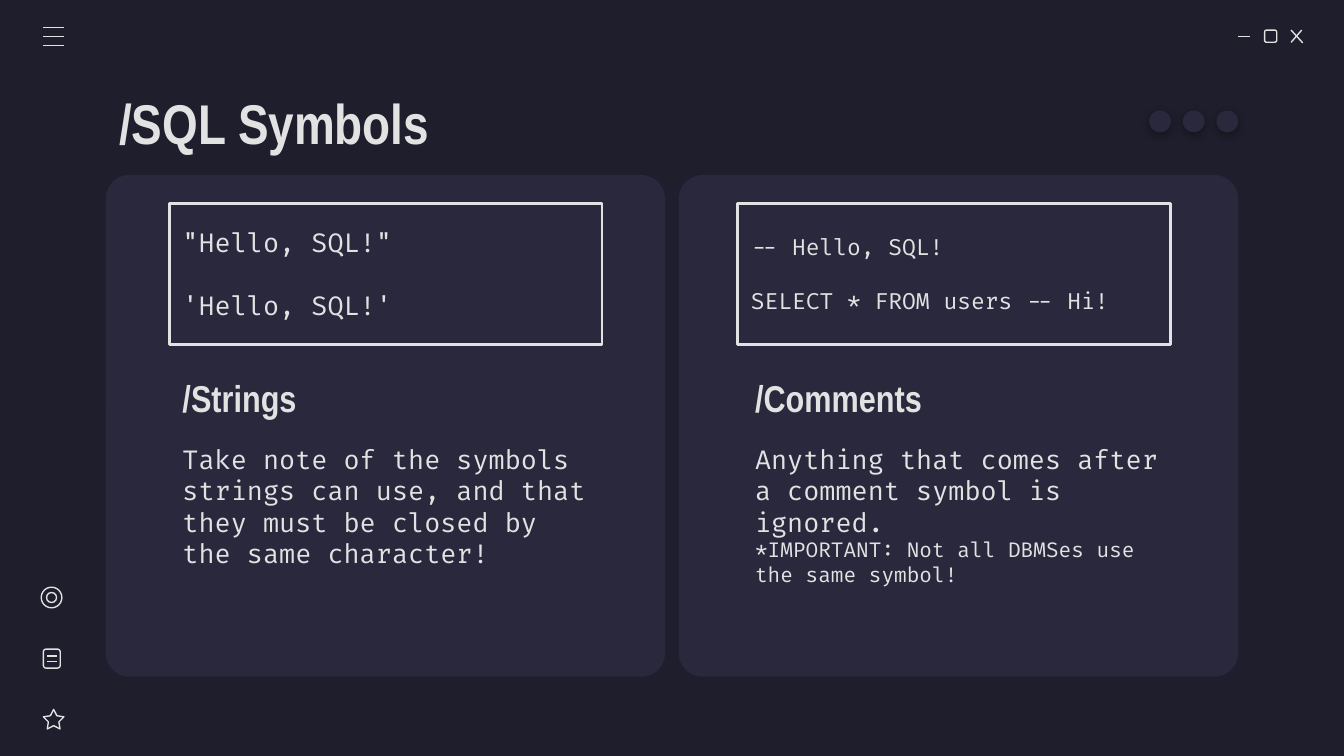
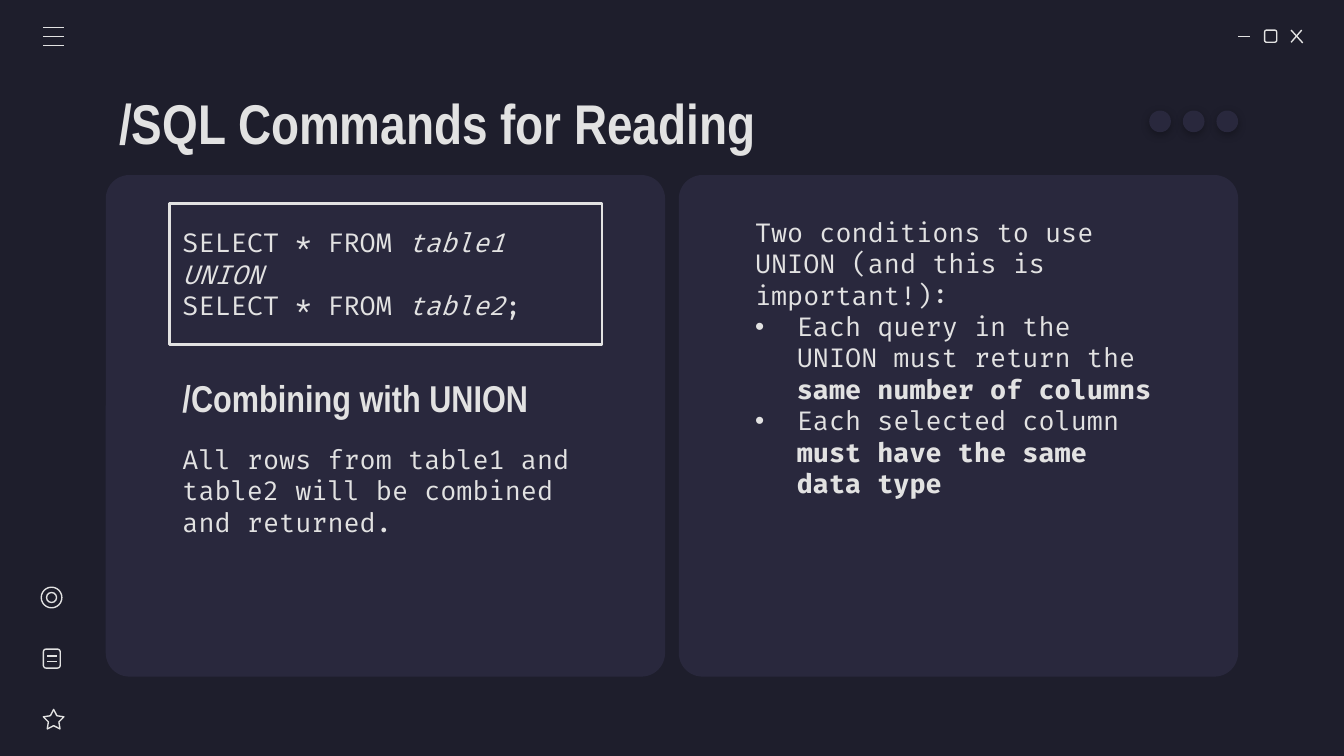
from collections import namedtuple

from lxml import etree
from pptx import Presentation, util as u
from pptx.dml.color import RGBColor
from pptx.enum import shapes as sh, text as tx
from pptx.oxml import ns

# Shared look
BACK, CARD, LIGHT = "1E1E2C", "29283D", "E2E2E2"
HEAD, CODE = "Arial Narrow", "Fira Code"
KIND = sh.MSO_SHAPE
MID, TOP = tx.MSO_ANCHOR.MIDDLE, tx.MSO_ANCHOR.TOP
LEFT, RIGHT, WIDE = 3.2, 14.02, 8.18  # text columns

# A paragraph: runs of (text, style), where style holds "b" and/or "i"
Para = namedtuple("Para", "runs size gap dot", defaults=(14, 0, False))


def rgb(code):
    return RGBColor.from_string(code)


def plain(words, size=14, gap=0):
    return Para([(words, "")], size, gap)


def sub(node, tag, **attrs):
    return etree.SubElement(node, ns.qn(tag), attrs)


# Basic elements
def shape(slide, kind, x, y, w, h, fill=None, line=None, width=0.75):
    item = slide.shapes.add_shape(kind, u.Cm(x), u.Cm(y), u.Cm(w), u.Cm(h))
    item.shadow.inherit = False
    if fill:
        item.fill.solid()
        item.fill.fore_color.rgb = rgb(fill)
    else:
        item.fill.background()
    if line:
        item.line.color.rgb = rgb(line)
        item.line.width = u.Pt(width)
    else:
        item.line.fill.background()
    return item


def stroke(slide, x1, y1, x2, y2):
    line = slide.shapes.add_connector(
        sh.MSO_CONNECTOR.STRAIGHT, u.Cm(x1), u.Cm(y1), u.Cm(x2), u.Cm(y2))
    line.line.color.rgb = rgb(LIGHT)
    line.line.width = u.Pt(0.75)
    sub(line._element.spPr, "a:effectLst")


def bullet(para):
    props = para._p.get_or_add_pPr()
    props.set("marL", str(u.Cm(0.79)))
    props.set("indent", str(-u.Cm(0.79)))
    sub(sub(props, "a:buClr"), "a:srgbClr", val=LIGHT)
    sub(props, "a:buFont", typeface="Arial")
    sub(props, "a:buChar", char="•")


def write(frame, paras, font, anchor):
    frame.word_wrap = True
    frame.vertical_anchor = anchor
    for n, item in enumerate(paras):
        para = frame.add_paragraph() if n else frame.paragraphs[0]
        para.alignment = tx.PP_ALIGN.LEFT
        if item.gap:
            para.space_before = u.Pt(item.gap)
        if item.dot:
            bullet(para)
        for words, style in item.runs:
            run = para.add_run()
            run.text = words
            run.font.name = font
            run.font.size = u.Pt(item.size)
            run.font.color.rgb = rgb(LIGHT)
            run.font.bold = "b" in style
            run.font.italic = "i" in style


def label(slide, x, y, w, h, paras, font=CODE, anchor=TOP):
    frame = slide.shapes.add_textbox(
        u.Cm(x), u.Cm(y), u.Cm(w), u.Cm(h)).text_frame
    frame.margin_left = frame.margin_right = u.Cm(0.25)
    frame.margin_top = frame.margin_bottom = u.Cm(0.25)
    write(frame, paras, font, anchor)


# Parts of a slide
def title(slide, words):
    label(slide, 2, 1.5, 21.4, 1.6, [Para([(words, "b")], 30)], HEAD, MID)


def topic(slide, x, words, paras):
    label(slide, x, 6.86, WIDE, 1.3, [Para([(words, "b")], 20)], HEAD, MID)
    label(slide, x, 8.13, WIDE, 3.56, paras)


def code(slide, x, paras):
    box = shape(slide, KIND.RECTANGLE, x, 3.84, WIDE, 2.67, None, LIGHT, 1.5)
    write(box.text_frame, paras, CODE, MID)


def dot(slide, x):
    item = shape(slide, KIND.OVAL, x, 2.09, 0.41, 0.41, CARD)
    effects = item._element.spPr.find(ns.qn("a:effectLst"))
    shade = sub(effects, "a:outerShdw", blurRad=str(u.Pt(4.5)),
                dist=str(u.Pt(1.5)), dir="5400000", algn="bl", rotWithShape="0")
    sub(sub(shade, "a:srgbClr", val="000000"), "a:alpha", val="30000")


def window(slide):
    # Minimise, maximise, close
    stroke(slide, 23.4, 0.69, 23.62, 0.69)
    shape(slide, KIND.ROUNDED_RECTANGLE, 23.9, 0.57, 0.23, 0.23, None, LIGHT)
    stroke(slide, 24.4, 0.57, 24.62, 0.81)
    stroke(slide, 24.6, 0.57, 24.4, 0.8)
    # Menu
    for y in (0.52, 0.69, 0.86):
        stroke(slide, 0.82, y, 1.21, y)


def icons(slide):
    # Rings
    shape(slide, KIND.OVAL, 0.78, 11.1, 0.39, 0.39, None, LIGHT)
    shape(slide, KIND.OVAL, 0.88, 11.2, 0.19, 0.19, None, LIGHT)
    # Note
    shape(slide, KIND.ROUNDED_RECTANGLE, 0.82, 12.27, 0.32, 0.36, None, LIGHT)
    for y in (12.4, 12.5):
        stroke(slide, 0.89, y, 1.07, y)
    # Star
    star = shape(slide, KIND.STAR_5_POINT, 0.82, 13.41, 0.39, 0.37, None, LIGHT)
    star.adjustments[0] = 0.254


def page(deck, words):
    slide = deck.slides.add_slide(deck.slide_layouts[6])
    slide.background.fill.solid()
    slide.background.fill.fore_color.rgb = rgb(BACK)
    for x in (2, 12.83):
        card = shape(slide, KIND.ROUNDED_RECTANGLE, x, 3.31, 10.57, 9.48, CARD)
        card.adjustments[0] = 0.047
    window(slide)
    icons(slide)
    for n in range(3):
        dot(slide, 21.72 + 0.635 * n)
    title(slide, words)
    return slide


# Slides
def symbols(deck):
    slide = page(deck, "/SQL Symbols")
    code(slide, LEFT, [plain('"Hello, SQL!"'),
                       plain("'Hello, SQL!'", gap=16.8)])
    topic(slide, LEFT, "/Strings", [plain(
        "Take note of the symbols strings can use, and that they must be "
        "closed by the same character!")])
    code(slide, 13.94, [plain("-- Hello, SQL!", 12),
                        plain("SELECT * FROM users -- Hi!", 12, 14.4)])
    topic(slide, RIGHT, "/Comments", [
        plain("Anything that comes after a comment symbol is ignored."),
        plain("*IMPORTANT: Not all DBMSes use the same symbol!", 11)])


def reading(deck):
    slide = page(deck, "/SQL Commands for Reading")
    pick = ("SELECT * FROM ", "")
    code(slide, LEFT, [Para([pick, ("table1", "i")]),
                       Para([("UNION", "i")]),
                       Para([pick, ("table2", "i"), (";", "")])])
    topic(slide, LEFT, "/Combining with UNION", [plain(
        "All rows from table1 and table2 will be combined and returned.")])
    label(slide, RIGHT, 3.84, WIDE, 7.85, [
        plain("Two conditions to use UNION (and this is important!):"),
        Para([("Each query in the UNION must return the ", ""),
              ("same number of columns", "b")], dot=True),
        Para([("Each selected column ", ""),
              ("must have the same data type", "b")], dot=True)])


def main():
    deck = Presentation()
    deck.slide_width, deck.slide_height = u.Cm(25.4), u.Cm(14.29)
    symbols(deck)
    reading(deck)
    deck.save("out.pptx")


if __name__ == "__main__":
    main()
